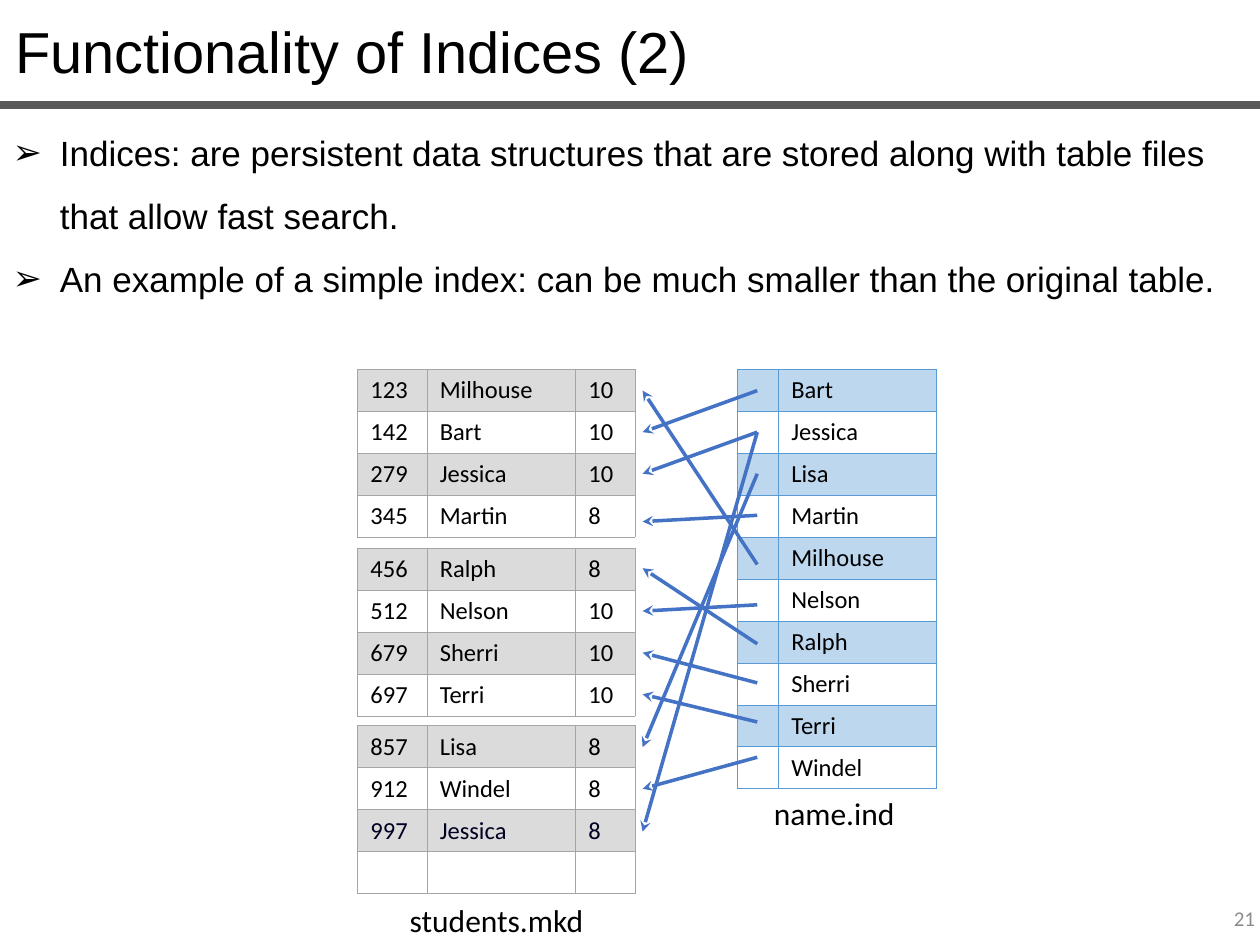
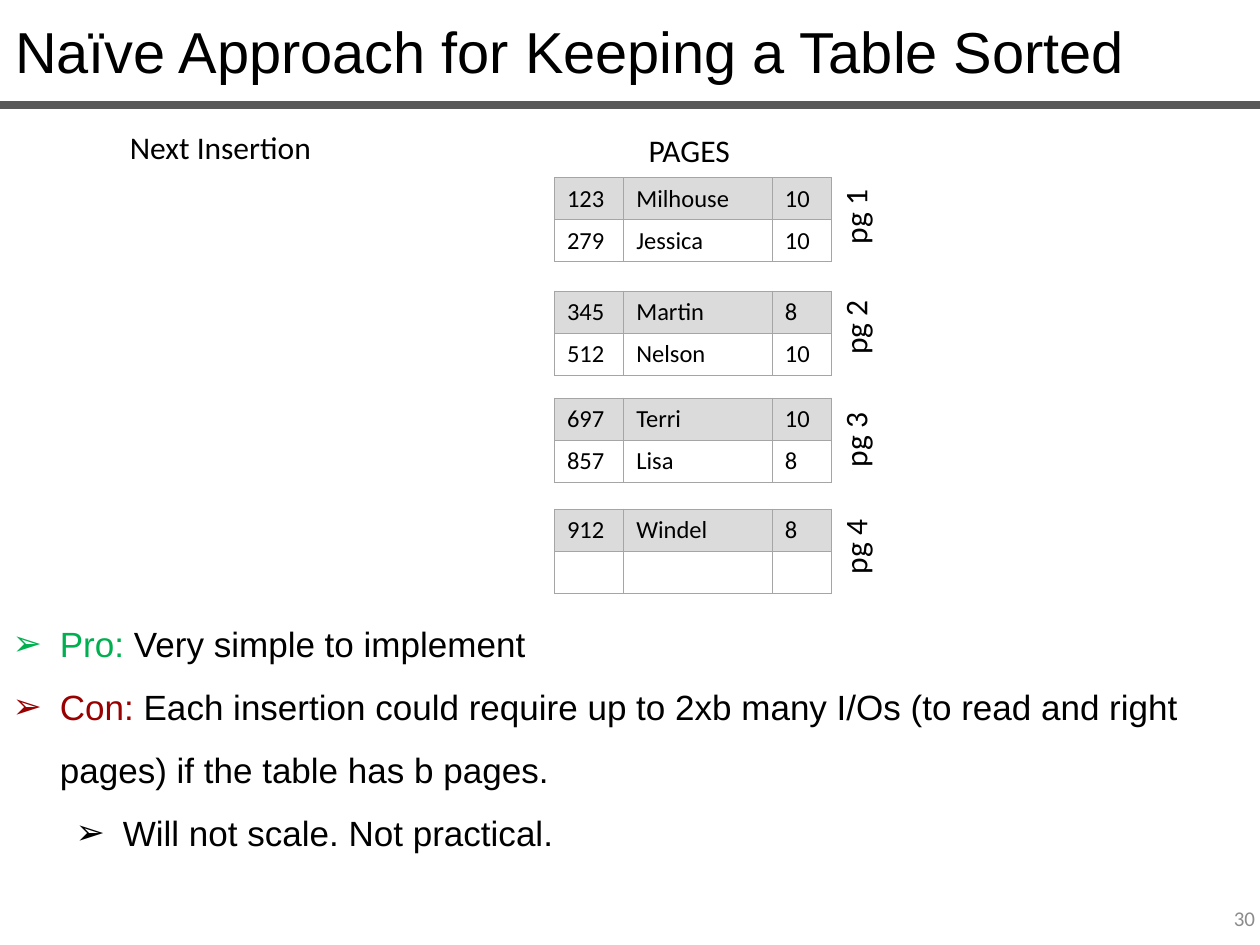
from dataclasses import dataclass

from lxml.etree import SubElement
from pptx import Presentation
from pptx.dml.color import RGBColor
from pptx.enum.shapes import MSO_CONNECTOR
from pptx.enum.text import MSO_ANCHOR, MSO_AUTO_SIZE, PP_ALIGN
from pptx.oxml.ns import qn
from pptx.util import Inches, Pt


@dataclass(frozen=True)
class Theme:
    ink: str = "000000"
    late_ink: str = "000022"
    muted: str = "8C8C8C"
    rule: str = "595959"
    arrow: str = "4472C4"
    pro: str = "00B050"
    con: str = "990000"
    student_border: str = "A5A5A5"
    student_band: str = "DBDBDB"
    index_border: str = "5B9BD5"
    index_band: str = "BDD7EE"
    heading_font: str = "Arial"
    label_font: str = "Calibri"
    title_size: int = 33
    body_size: int = 20
    label_size: int = 18
    cell_size: int = 14
    number_size: int = 12


THEME = Theme()
WIDTH, HEIGHT = Inches(10), Inches(7.5)
COLUMNS, ROWS = 100, 75
TABLE_ROW = 10 / 3
STUDENT_COLUMNS = (5.5, 11.8, 4.7)
INDEX_COLUMNS = (3.3, 12.5)

STUDENT_PAGES = (
    (29.3, (("123", "Milhouse", "10"), ("142", "Bart", "10"),
            ("279", "Jessica", "10"), ("345", "Martin", "8"))),
    (43.5, (("456", "Ralph", "8"), ("512", "Nelson", "10"),
            ("679", "Sherri", "10"), ("697", "Terri", "10"))),
    (57.6, (("857", "Lisa", "8"), ("912", "Windel", "8"),
            ("997", "Jessica", "8"), ("", "", ""))),
)
INDEX_NAMES = ("Bart", "Jessica", "Lisa", "Martin", "Milhouse",
               "Nelson", "Ralph", "Sherri", "Terri", "Windel")
INDEX_ARROWS = (
    (31, 34.3), (34.3, 37.6), (37.6, 59.3), (40.9, 41.4), (44.8, 31), (48, 48.5),
    (51.1, 45.1), (54.2, 51.8), (57.3, 55.1), (60.1, 62.6), (34.3, 66),
)
SORTED_PAGES = (
    (14.1, 15.2, (("123", "Milhouse", "10"), ("279", "Jessica", "10"))),
    (23.1, 24, (("345", "Martin", "8"), ("512", "Nelson", "10"))),
    (31.6, 32.9, (("697", "Terri", "10"), ("857", "Lisa", "8"))),
    (40.4, 41.4, (("912", "Windel", "8"), ("", "", ""))),
)


def across(columns):
    return round(WIDTH * columns / COLUMNS)


def down(rows):
    return round(HEIGHT * rows / ROWS)


def frame(left, top, width, height):
    return across(left), down(top), across(width), down(height)


def color(value):
    return RGBColor.from_string(value)


def write_text(paragraph, text, size=THEME.label_size, ink=THEME.ink,
               font=THEME.label_font, align=None):
    paragraph.alignment = align
    run = paragraph.add_run()
    run.text = text
    run.font.name = font
    run.font.size = Pt(size)
    run.font.color.rgb = color(ink)


def place(shape, *box):
    shape.left, shape.top, shape.width, shape.height = frame(*box)
    shape.text_frame.auto_size = MSO_AUTO_SIZE.NONE


def add_label(slide, text, box, rotation=0, anchor=MSO_ANCHOR.TOP,
              align=PP_ALIGN.CENTER, **text_format):
    shape = slide.shapes.add_textbox(*frame(*box))
    shape.rotation = rotation
    shape.text_frame.word_wrap = True
    shape.text_frame.vertical_anchor = anchor
    write_text(shape.text_frame.paragraphs[0], text, align=align, **text_format)


def add_line(slide, start, end, ink, weight, arrowhead=None):
    connector = slide.shapes.add_connector(
        MSO_CONNECTOR.STRAIGHT, across(start[0]), down(start[1]),
        across(end[0]), down(end[1]))
    connector.line.color.rgb = color(ink)
    connector.line.width = Pt(weight)
    if arrowhead:
        SubElement(connector.line._get_or_add_ln(), qn("a:tailEnd"), type=arrowhead)
    SubElement(connector._element.spPr, qn("a:effectLst"))


def add_slide(presentation, title, number, layout):
    slide = presentation.slides.add_slide(presentation.slide_layouts[layout])
    heading = slide.shapes.title
    place(heading, 0.2, 0.7, 100, 6.6)
    write_text(heading.text_frame.paragraphs[0], title, size=THEME.title_size,
               font=THEME.heading_font, align=PP_ALIGN.LEFT)
    add_line(slide, (0, 8.3), (100, 8.3), THEME.rule, 4.5)
    add_label(slide, number, (77.3, 70.9, 23.3, 4), anchor=MSO_ANCHOR.MIDDLE,
              align=PP_ALIGN.RIGHT, size=THEME.number_size, ink=THEME.muted)
    return slide


def add_bullet(paragraph, level):
    paragraph.level = level
    properties = paragraph._p.get_or_add_pPr()
    properties.set("marL", str(across(3.75 + 5 * level)))
    properties.set("indent", str(-across(3.75)))
    SubElement(properties, qn("a:buFont"), typeface=THEME.heading_font)
    SubElement(properties, qn("a:buChar"), char="➢")
    paragraph.line_spacing = 1.5
    paragraph.space_before = Pt(0)


def fill_list(slide, box, items):
    body = slide.placeholders[1]
    place(body, *box)
    for position, (level, runs) in enumerate(items):
        text_frame = body.text_frame
        paragraph = text_frame.add_paragraph() if position else text_frame.paragraphs[0]
        add_bullet(paragraph, level)
        for text, ink in runs:
            write_text(paragraph, text, size=THEME.body_size, ink=ink,
                       font=THEME.heading_font)


def add_borders(cell, ink):
    properties = cell._tc.get_or_add_tcPr()
    for side in ("lnL", "lnR", "lnT", "lnB"):
        line = SubElement(properties, qn(f"a:{side}"), w=str(Pt(0.5)))
        fill = SubElement(line, qn("a:solidFill"))
        SubElement(fill, qn("a:srgbClr"), val=ink)


def add_grid_table(slide, left, top, columns, records, border, band):
    table = slide.shapes.add_table(
        len(records), len(columns),
        *frame(left, top, sum(columns), len(records) * TABLE_ROW)).table
    table.first_row = table.horz_banding = False
    for column, width in zip(table.columns, columns):
        column.width = across(width)
    for row_index, record in enumerate(records):
        table.rows[row_index].height = down(TABLE_ROW)
        ink = THEME.late_ink if record[0] == "997" else THEME.ink
        for column_index, text in enumerate(record):
            cell = table.cell(row_index, column_index)
            cell.margin_top = cell.margin_bottom = 0
            cell.vertical_anchor = MSO_ANCHOR.MIDDLE
            add_borders(cell, border)
            if row_index % 2:
                cell.fill.background()
            else:
                cell.fill.solid()
                cell.fill.fore_color.rgb = color(band)
            if text:
                write_text(cell.text_frame.paragraphs[0], text,
                           size=THEME.cell_size, ink=ink)


def add_student_page(slide, left, top, records):
    add_grid_table(slide, left, top, STUDENT_COLUMNS, records,
                   THEME.student_border, THEME.student_band)


def build_index_slide(presentation):
    slide = add_slide(presentation, "Functionality of Indices (2)", "21", layout=1)
    fill_list(slide, (0, 8.3, 98.6, 15.5), (
        (0, (("Indices: are persistent data structures that are stored along with "
              "table files that allow fast search.", THEME.ink),)),
        (0, (("An example of a simple index: can be much smaller than the "
              "original table.", THEME.ink),)),
    ))
    add_label(slide, "students.mkd", (30.8, 71, 17.2, 4))
    add_label(slide, "name.ind", (58.3, 62.5, 15.8, 4))
    add_grid_table(slide, 58.5, 29.3, INDEX_COLUMNS,
                   [("", name) for name in INDEX_NAMES],
                   THEME.index_border, THEME.index_band)
    for top, records in STUDENT_PAGES:
        add_student_page(slide, 28.4, top, records)
    for index_row, student_row in INDEX_ARROWS:
        add_line(slide, (60.1, index_row), (51, student_row), THEME.arrow, 2, "stealth")


def build_sorted_slide(presentation):
    slide = add_slide(presentation, "Naïve Approach for Keeping a Table Sorted", "30",
                      layout=1)
    add_label(slide, "Next Insertion", (6.5, 9.7, 22, 4))
    add_label(slide, "PAGES", (43.7, 9.9, 22, 4))
    for page, (top, label_top, records) in enumerate(SORTED_PAGES, start=1):
        add_student_page(slide, 44, top, records)
        add_label(slide, f"pg {page}", (64.5, label_top, 6.7, 4), rotation=270)
    fill_list(slide, (0, 47.2, 98.2, 20.6), (
        (0, (("Pro:", THEME.pro), (" Very simple to implement", THEME.ink))),
        (0, (("Con:", THEME.con),
             (" Each insertion could require up to 2xb many I/Os (to read and right "
              "pages) if the table has b pages.", THEME.ink))),
        (1, (("Will not scale. Not practical.", THEME.ink),)),
    ))


def main():
    presentation = Presentation()
    presentation.slide_width, presentation.slide_height = WIDTH, HEIGHT
    build_index_slide(presentation)
    build_sorted_slide(presentation)
    presentation.save("out.pptx")


if __name__ == "__main__":
    main()
